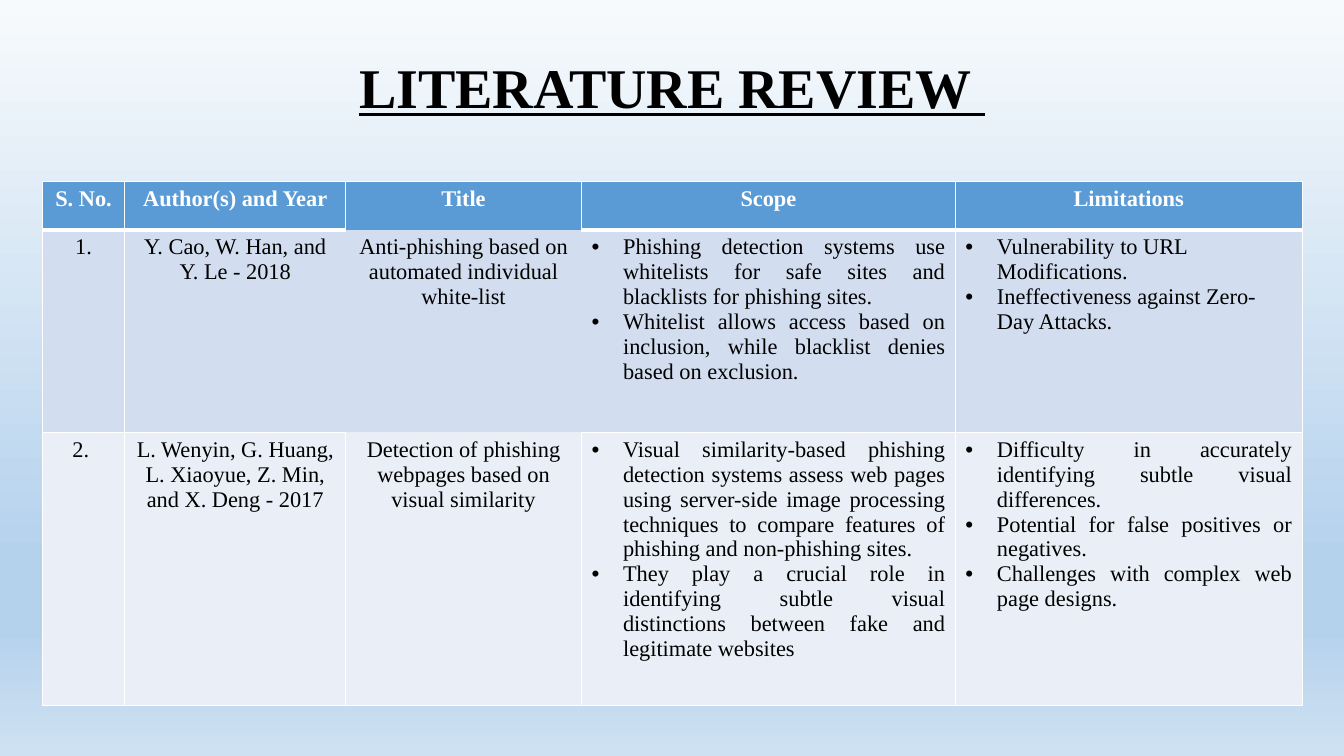
import pptx
import pptx.dml.color
import pptx.enum.text
import pptx.oxml
import pptx.oxml.ns
import pptx.util

Pt = pptx.util.Pt
Align = pptx.enum.text.PP_ALIGN
qn = pptx.oxml.ns.qn
NAMESPACE = pptx.oxml.ns.nsdecls("a")

THEME = {
    "font": "Times New Roman",
    "title_size": 40,
    "table_size": 16,
    "ink": "000000",
    "white": "FFFFFF",
    "row_fills": ["5B9BD5", "D2DEEF", "EAEFF7"],
    "background": [(0, "F7FAFD"), (74, "B5D2EC"), (83, "B5D2EC"), (100, "CEE1F2")],
}
COLUMN_WIDTHS = [59, 157.7, 168.5, 267.1, 247.7]
ROW_HEIGHTS = [34.6, 144.7, 195.1]
COLUMN_ALIGNS = [Align.CENTER] * 3 + [Align.JUSTIFY] * 2
FIRST_BULLET_COLUMN = 3
BARE_CELL = (1, 2)
SIDES = {"lnL": (0, -1), "lnR": (0, 1), "lnT": (-1, 0), "lnB": (1, 0)}

ROWS = [
    [["S. No."], ["Author(s) and Year"], ["Title"], ["Scope"], ["Limitations"]],
    [
        ["1."],
        ["Y. Cao, W. Han, and Y. Le - 2018"],
        ["Anti-phishing based on automated individual white-list"],
        [
            "Phishing detection systems use whitelists for safe sites and blacklists for phishing sites. ",
            "Whitelist allows access based on inclusion, while blacklist denies based on exclusion.",
        ],
        ["Vulnerability to URL Modifications.", "Ineffectiveness against Zero-Day Attacks."],
    ],
    [
        ["2. "],
        ["L. Wenyin, G. Huang, L. Xiaoyue, Z. Min, and X. Deng - 2017"],
        ["Detection of phishing webpages based on visual similarity"],
        [
            "Visual similarity-based phishing detection systems assess web pages using server-side image "
            "processing techniques to compare features of phishing and non-phishing sites. ",
            "They play a crucial role in identifying subtle visual distinctions between fake and "
            "legitimate websites ",
        ],
        [
            "Difficulty in accurately identifying subtle visual differences.",
            "Potential for false positives or negatives.",
            "Challenges with complex web page designs.",
        ],
    ],
]


def write_span(para, text, color, formats):
    span = para.add_run()
    span.text = text
    for name, value in formats.items():
        setattr(span.font, name, value)
    span.font.color.rgb = pptx.dml.color.RGBColor.from_string(color)


def border(side, width):
    paint = f'<a:solidFill><a:srgbClr val="{THEME["white"]}"/></a:solidFill>' if width else "<a:noFill/>"
    return pptx.oxml.parse_xml(f'<a:{side} {NAMESPACE} w="{Pt(width)}">{paint}</a:{side}>')


deck = pptx.Presentation()
deck.slide_width, deck.slide_height = Pt(960), Pt(540)
page = deck.slides.add_slide(deck.slide_layouts[5])

backdrop = page.background.fill
backdrop.gradient()
backdrop.gradient_angle = 270
stops = next(page.element.iter(qn("a:gsLst")))
for stop in list(stops):
    stops.remove(stop)
for position, color in THEME["background"]:
    stops.append(pptx.oxml.parse_xml(
        f'<a:gs {NAMESPACE} pos="{position * 1000}"><a:srgbClr val="{color}"/></a:gs>'))

title = page.shapes.title
for name, value in {"left": 66, "top": 24, "width": 828, "height": 81}.items():
    setattr(title, name, Pt(value))
title.text_frame.vertical_anchor = pptx.enum.text.MSO_ANCHOR.MIDDLE
heading = title.text_frame.paragraphs[0]
heading.alignment = Align.CENTER
heading.line_spacing = 0.9
write_span(heading, "LITERATURE REVIEW ", THEME["ink"], {
    "name": THEME["font"], "size": Pt(THEME["title_size"]), "bold": True, "underline": True})

review = page.shapes.add_table(
    len(ROW_HEIGHTS), len(COLUMN_WIDTHS), Pt(30.2), Pt(129.6),
    Pt(sum(COLUMN_WIDTHS)), Pt(sum(ROW_HEIGHTS))).table
for column, width in zip(review.columns, COLUMN_WIDTHS):
    column.width = Pt(width)
for row, height in zip(review.rows, ROW_HEIGHTS):
    row.height = Pt(height)

for row_index, row in enumerate(ROWS):
    is_header = row_index == 0
    for column_index, lines in enumerate(row):
        cell = review.cell(row_index, column_index)
        cell.fill.solid()
        cell.fill.fore_color.rgb = pptx.dml.color.RGBColor.from_string(THEME["row_fills"][row_index])

        for order, (side, (down, across)) in enumerate(SIDES.items()):
            neighbour = (row_index + down, column_index + across)
            header_edge = (is_header and side == "lnB") or (row_index == 1 and side == "lnT")
            width = 3 if header_edge else 1
            if BARE_CELL in ((row_index, column_index), neighbour):
                width = 0
            cell._tc.tcPr.insert(order, border(side, width))

        for line_index, line in enumerate(lines):
            frame = cell.text_frame
            para = frame.add_paragraph() if line_index else frame.paragraphs[0]
            para.alignment = Align.CENTER if is_header else COLUMN_ALIGNS[column_index]
            if (row_index, column_index) == (1, 4):
                para.alignment = Align.LEFT
            if not is_header and column_index >= FIRST_BULLET_COLUMN:
                layout = para._p.get_or_add_pPr()
                layout.set("marL", str(Pt(22.5)))
                layout.set("indent", str(-Pt(22.5)))
                layout.append(pptx.oxml.parse_xml(f'<a:buFont {NAMESPACE} typeface="Arial"/>'))
                layout.append(pptx.oxml.parse_xml(f'<a:buChar {NAMESPACE} char="•"/>'))
            write_span(para, line, THEME["white"] if is_header else THEME["ink"], {
                "name": THEME["font"], "size": Pt(THEME["table_size"]), "bold": is_header})

deck.save("out.pptx")
